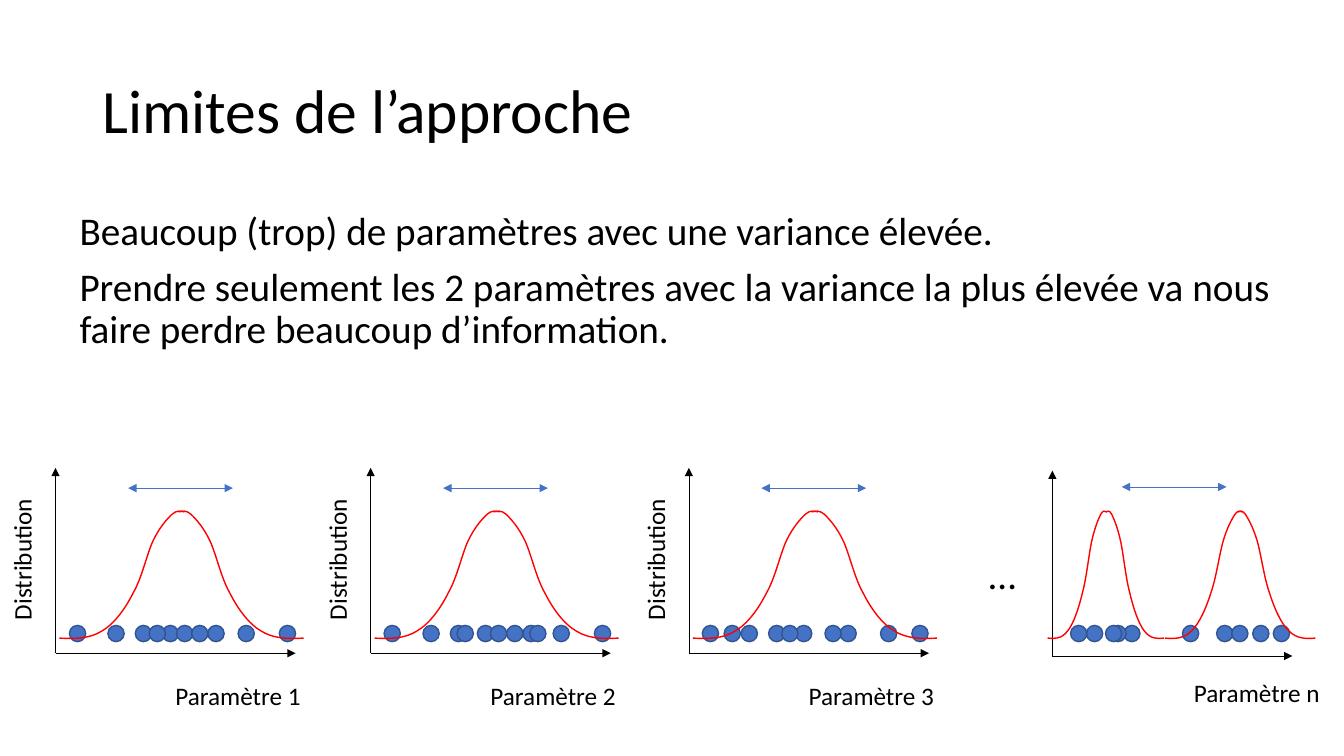
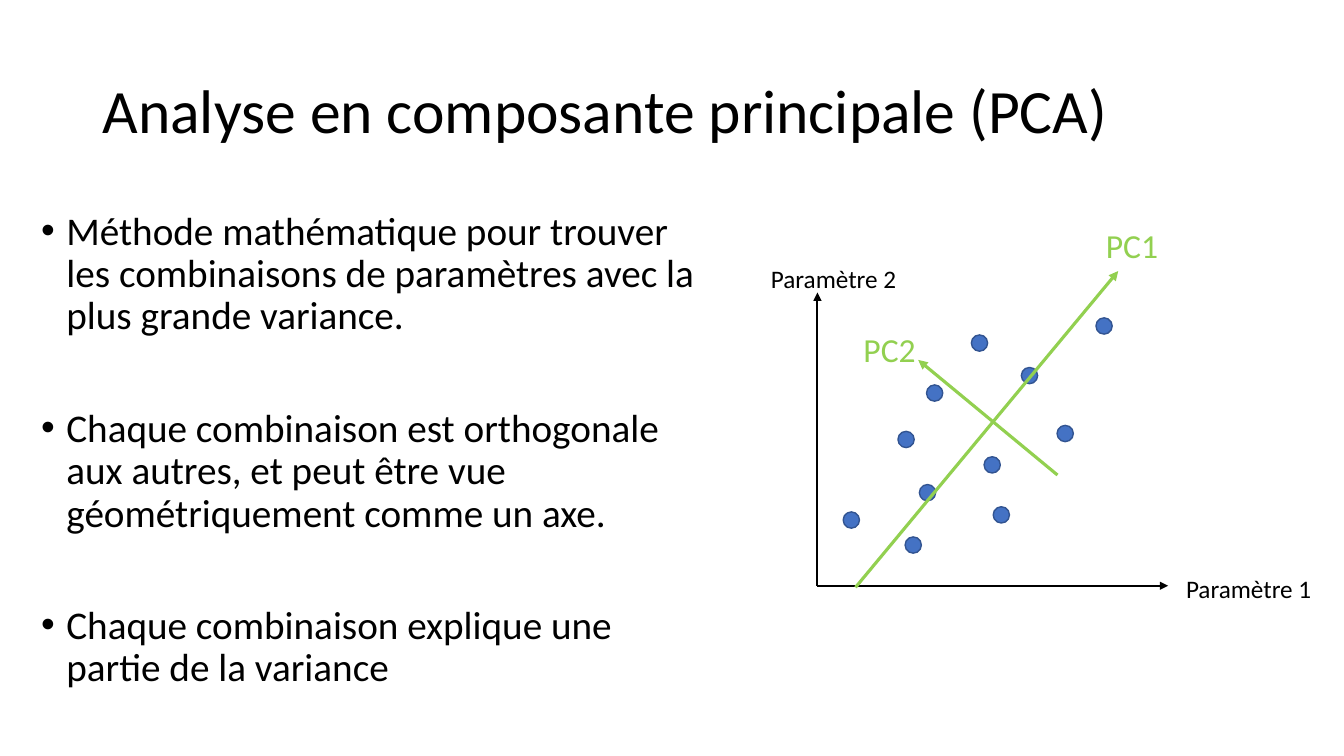
import dataclasses

import lxml.etree
import pptx
import pptx.dml.color
import pptx.enum.shapes
import pptx.enum.text
import pptx.oxml.ns
import pptx.util

Cm = pptx.util.Cm
Pt = pptx.util.Pt
qn = pptx.oxml.ns.qn
ALIGN = pptx.enum.text.PP_ALIGN
ANCHOR = pptx.enum.text.MSO_ANCHOR


@dataclasses.dataclass(frozen=True)
class Theme:
    font: str = "Calibri"
    black: str = "000000"
    blue: str = "4472C4"
    dark_blue: str = "325491"
    red: str = "FF0000"
    green: str = "92D050"
    title_size: int = 44
    body_size: int = 28
    component_size: int = 24
    label_size: int = 18
    line_spacing: float = 0.9
    paragraph_gap: int = 10
    wide_gap: int = 50
    dot_size: float = 0.41


BELL_PROFILE = [
    (0, 0), (0.12, -0.02), (0.24, -0.02), (0.34, 0.18),
    (0.44, 0.36), (0.53, 0.76), (0.59, 1.14),
    (0.66, 1.52), (0.7, 2.13), (0.75, 2.46),
    (0.8, 2.79), (0.86, 3.0), (0.9, 3.12),
    (0.94, 3.23), (0.97, 3.2), (1, 3.18),
]


def bend_segments(outline):
    segments = list(outline.iter(qn("a:lnTo")))
    for start in range(0, len(segments), 3):
        parent = segments[start].getparent()
        bend = lxml.etree.SubElement(parent, qn("a:cubicBezTo"))
        for segment in segments[start:start + 3]:
            bend.append(segment[0])
            parent.remove(segment)


class Page:
    def __init__(self, deck, theme):
        self.theme = theme
        self.slide = deck.slides.add_slide(deck.slide_layouts[1])

    def color(self, value):
        return pptx.dml.color.RGBColor.from_string(value)

    def format_runs(self, para, size, color=None):
        for span in para.runs:
            span.font.name = self.theme.font
            span.font.size = Pt(size)
            span.font.color.rgb = self.color(color or self.theme.black)

    def place(self, box, left, top, width, height):
        box.left, box.top = Cm(left), Cm(top)
        box.width, box.height = Cm(width), Cm(height)

    def title(self, text):
        box = self.slide.shapes.title
        self.place(box, 2.33, 1.01, 29.21, 3.68)
        frame = box.text_frame
        frame.text = text
        frame.auto_size = pptx.enum.text.MSO_AUTO_SIZE.NONE
        frame.vertical_anchor = ANCHOR.MIDDLE
        para = frame.paragraphs[0]
        para.alignment = ALIGN.LEFT
        para.line_spacing = self.theme.line_spacing
        self.format_runs(para, self.theme.title_size)

    def body(self, lines, area, gap, bullet=False):
        box = self.slide.placeholders[1]
        self.place(box, *area)
        frame = box.text_frame
        frame.text = "\n".join(lines)
        frame.auto_size = pptx.enum.text.MSO_AUTO_SIZE.NONE
        frame.vertical_anchor = ANCHOR.TOP
        indent = Cm(0.64) if bullet else 0
        for index, para in enumerate(frame.paragraphs):
            para.line_spacing = self.theme.line_spacing
            para.space_before = Pt(gap if index else self.theme.paragraph_gap)
            self.format_runs(para, self.theme.body_size)
            properties = para._p.get_or_add_pPr()
            properties.set("marL", str(indent))
            properties.set("indent", str(-indent))
            if bullet:
                lxml.etree.SubElement(properties, qn("a:buChar")).set("char", "•")
            else:
                lxml.etree.SubElement(properties, qn("a:buNone"))

    def label(self, text, left, top, width=3.96, height=1.02, size=None,
              color=None, align=ALIGN.LEFT):
        box = self.slide.shapes.add_textbox(
            Cm(left), Cm(top), Cm(width), Cm(height))
        frame = box.text_frame
        frame.word_wrap = True
        frame.text = text
        para = frame.paragraphs[0]
        para.alignment = align
        self.format_runs(para, size or self.theme.label_size, color)
        return box

    def vertical_label(self, text, center_x, center_y, width=7.11, height=1.02):
        box = self.label(text, center_x - width / 2, center_y - height / 2,
                         width, height, align=ALIGN.CENTER)
        box.rotation = 270

    def arrow(self, start, end, color, weight, both_ends=False):
        line = self.slide.shapes.add_connector(
            pptx.enum.shapes.MSO_CONNECTOR.STRAIGHT,
            *(Cm(value) for value in (*start, *end)))
        line.line.color.rgb = self.color(color)
        line.line.width = Pt(weight)
        properties = line._element.spPr
        outline = properties.find(qn("a:ln"))
        for tag in ("a:headEnd", "a:tailEnd")[0 if both_ends else 1:]:
            lxml.etree.SubElement(outline, qn(tag)).set("type", "triangle")
        lxml.etree.SubElement(properties, qn("a:effectLst"))

    def axes(self, x, y, width, height, weight):
        for end in ((x + width, y), (x, y - height)):
            self.arrow((x, y), end, self.theme.black, weight)

    def dot(self, left, top):
        size = Cm(self.theme.dot_size)
        dot = self.slide.shapes.add_shape(
            pptx.enum.shapes.MSO_SHAPE.OVAL, Cm(left), Cm(top), size, size)
        dot.shadow.inherit = False
        dot.fill.solid()
        dot.fill.fore_color.rgb = self.color(self.theme.blue)
        dot.line.color.rgb = self.color(self.theme.dark_blue)
        dot.line.width = Pt(1)

    def half_bell(self, foot, peak, base):
        points = [(Cm(foot + (peak - foot) * across), Cm(base - rise))
                  for across, rise in BELL_PROFILE]
        builder = self.slide.shapes.build_freeform(*points[0], scale=1.0)
        builder.add_line_segments(points[1:], close=False)
        curve = builder.convert_to_shape()
        bend_segments(curve._element)
        curve.shadow.inherit = False
        curve.fill.background()
        curve.line.color.rgb = self.color(self.theme.red)
        curve.line.width = Pt(1)

    def distribution(self, name, x, dots, bells, axis_y=16.46,
                     name_at=(2.77, 17.02), spread_at=(1.83, 12.3),
                     axis_title="Distribution"):
        self.axes(x, axis_y, 6.05, 4.67, 0.5)
        self.label(name, x + name_at[0], name_at[1])
        if axis_title:
            self.vertical_label(axis_title, x - 0.85, 14.1)
        for offset in dots:
            self.dot(x + offset, 15.76)
        for foot, peak in bells:
            self.half_bell(x + foot, x + peak, 16.08)
        left, top = x + spread_at[0], spread_at[1]
        self.arrow((left, top), (left + 2.64, top), self.theme.blue, 0.5, True)


def limits_page(deck, theme):
    page = Page(deck, theme)
    page.title("Limites de l’approche")
    page.body([
        "Beaucoup (trop) de paramètres avec une variance élevée.",
        "Prendre seulement les 2 paramètres avec la variance la plus élevée "
        "va nous faire perdre beaucoup d’information.",
    ], (1.75, 5.2, 31.75, 5.03), theme.paragraph_gap)
    single_bell = [(0.1, 3.25), (6.25, 3.1)]
    double_bell = [(6.63, 4.67), (2.82, 1.35), (-0.12, 1.37), (2.84, 4.8)]
    samples = [
        (1.4, [2.69, 3.05, 2.01, 1.32, 3.84, 4.6, 2.36, 3.43, 0.35, 5.64]),
        (9.34, [2.69, 3.02, 2.01, 3.84, 1.32, 4.01, 4.6, 2.18, 3.43, 0.34, 5.64]),
        (17.36, [2.69, 0.89, 2.01, 1.32, 3.81, 4.83, 2.34, 3.43, 0.34, 5.62]),
    ]
    for number, (x, dots) in enumerate(samples, 1):
        page.distribution(f"Paramètre {number}", x, dots, single_bell)
    page.distribution(
        "Paramètre n", 26.52,
        [1.8, 3.28, 0.86, 4.14, 1.45, 4.52, 1.34, 5.05, 0.46, 5.57],
        double_bell, axis_y=16.53, name_at=(3.32, 16.94),
        spread_at=(1.75, 12.27), axis_title=None)
    page.label("…", 24.67, 13.74, 2.08, 1.45, theme.body_size)


def components_page(deck, theme):
    page = Page(deck, theme)
    page.title("Analyse en composante principale (PCA)")
    page.body([
        "Méthode mathématique pour trouver les combinaisons de paramètres "
        "avec la plus grande variance.",
        "Chaque combinaison est orthogonale aux autres, et peut être vue "
        "géométriquement comme un axe.",
        "Chaque combinaison explique une partie de la variance",
    ], (0.78, 5.2, 17.02, 13.41), theme.wide_gap, bullet=True)
    page.axes(20.6, 14.76, 8.84, 7.39, 1.5)
    page.label("Paramètre 1", 29.64, 14.33, 3.81, 0.86)
    page.label("Paramètre 2", 19.18, 6.5, 3.81, 0.86)
    for left, top in [
        (24.48, 8.44), (22.63, 10.87), (24.8, 11.51), (26.64, 10.72),
        (21.25, 12.9), (27.62, 8.01), (25.03, 12.77), (23.35, 9.7),
        (23.17, 12.21), (22.81, 13.53), (25.74, 9.26),
    ]:
        page.dot(left, top)
    for name, start, end, name_at in [
        ("PC1", (21.56, 14.8), (28.18, 6.83), (27.62, 5.55)),
        ("PC2", (26.65, 11.97), (23.14, 9.07), (21.51, 8.17)),
    ]:
        page.arrow(start, end, theme.green, 2.25)
        page.label(name, *name_at, 2.26, 1.27, theme.component_size, theme.green)


def main():
    deck = pptx.Presentation()
    deck.slide_width, deck.slide_height = Cm(33.87), Cm(19.05)
    theme = Theme()
    limits_page(deck, theme)
    components_page(deck, theme)
    deck.save("out.pptx")


if __name__ == "__main__":
    main()
